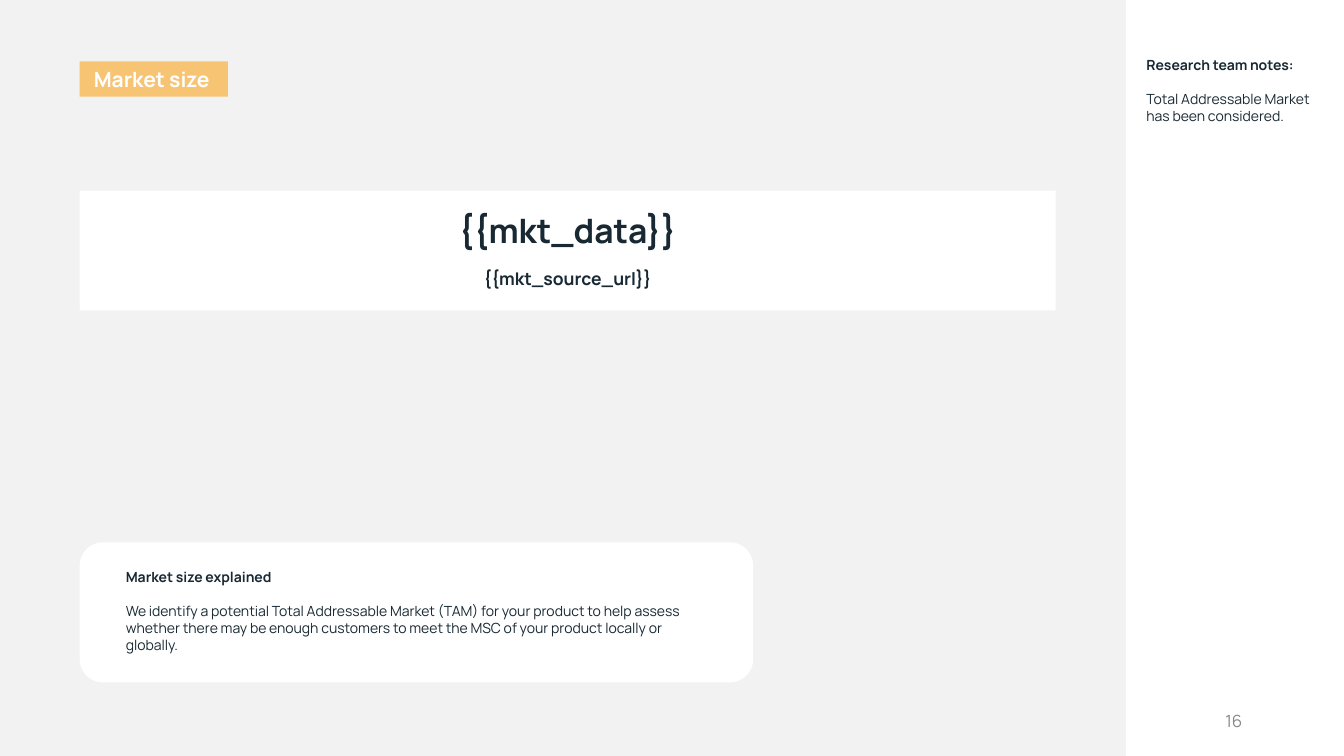
from pptx import Presentation
from pptx import util as u
from pptx.dml import color
from pptx.enum import shapes, text

NAVY = color.RGBColor(0x18, 0x29, 0x33)
GREY = color.RGBColor(0x88, 0x88, 0x88)
WHITE = color.RGBColor(0xFF, 0xFF, 0xFF)
AMBER = color.RGBColor(0xF7, 0xC4, 0x73)
CANVAS = color.RGBColor(0xF2, 0xF2, 0xF2)
FONT = "Manrope"
LEFT = 0.79
SIDEBAR = 11.17
RECT = shapes.MSO_SHAPE.RECTANGLE
ROUNDED = shapes.MSO_SHAPE.ROUNDED_RECTANGLE


def write(p, words, size=10, ink=NAVY, bold=False, align=text.PP_ALIGN.LEFT, before=0):
    p.alignment = align
    p.space_before = u.Pt(before)
    r = p.add_run()
    r.text = words
    r.font.name = FONT
    r.font.size = u.Pt(size)
    r.font.bold = bold
    r.font.color.rgb = ink


class MarketSlide:
    def __init__(self, prs):
        self.s = prs.slides.add_slide(prs.slide_layouts[5])
        self.s.background.fill.solid()
        self.s.background.fill.fore_color.rgb = CANVAS

    def fill_text(self, sp, lines, insets, anchor=text.MSO_ANCHOR.TOP):
        tf = sp.text_frame
        tf.word_wrap = True
        tf.auto_size = text.MSO_AUTO_SIZE.NONE
        tf.vertical_anchor = anchor
        tf.margin_left, tf.margin_top, tf.margin_right, tf.margin_bottom = map(u.Inches, insets)
        for i, (words, style) in enumerate(lines):
            write(tf.add_paragraph() if i else tf.paragraphs[0], words, **style)

    def title(self, box, words):
        sp = self.s.shapes.title
        sp.left, sp.top, sp.width, sp.height = map(u.Inches, box)
        sp.fill.solid()
        sp.fill.fore_color.rgb = AMBER
        style = dict(size=15, ink=WHITE, bold=True)
        self.fill_text(sp, [(words, style)], (0.14, 0.05, 0.1, 0.05))

    def panel(self, box, lines=(), insets=(0.39, 0.19, 0.39, 0.2), kind=RECT):
        sp = self.s.shapes.add_shape(kind, *map(u.Inches, box))
        sp.shadow.inherit = False
        sp.fill.solid()
        sp.fill.fore_color.rgb = WHITE
        sp.line.fill.background()
        if lines:
            self.fill_text(sp, lines, insets)

    def page_number(self, box, number):
        sp = self.s.shapes.add_textbox(*map(u.Inches, box))
        style = dict(size=12, ink=GREY, align=text.PP_ALIGN.RIGHT)
        self.fill_text(sp, [(number, style)], (0.1, 0.05, 0.1, 0.05), text.MSO_ANCHOR.MIDDLE)


def main():
    prs = Presentation()
    prs.slide_width, prs.slide_height = u.Inches(13.33), u.Inches(7.5)
    slide = MarketSlide(prs)
    heading = dict(bold=True)
    body = dict(before=12.5)
    centred = dict(bold=True, align=text.PP_ALIGN.CENTER)

    slide.title((LEFT, 0.61, 1.47, 0.35), "Market size")
    slide.panel((SIDEBAR, -0.01, 2.16, 7.51))
    slide.panel((SIDEBAR, -0.01, 2.09, 1.6), [
        ("Research team notes:", heading),
        ("Total Addressable Market has been considered.", body),
    ], insets=(0.2, 0.57, 0.2, 0.2))
    slide.page_number((9.42, 6.95, 3, 0.4), "16")
    slide.panel((LEFT, 1.89, 9.68, 1.19), [
        ("{{mkt_data}}", dict(centred, size=24)),
        ("{{mkt_source_url}}", dict(centred, size=12.5, before=12.5)),
    ])
    slide.panel((LEFT, 5.38, 6.68, 1.39), [
        ("Market size explained", heading),
        ("We identify a potential Total Addressable Market (TAM) for your product to help "
         "assess whether there may be enough customers to meet the MSC of your product "
         "locally or globally.", body),
    ], kind=ROUNDED)
    prs.save("out.pptx")


if __name__ == "__main__":
    main()
